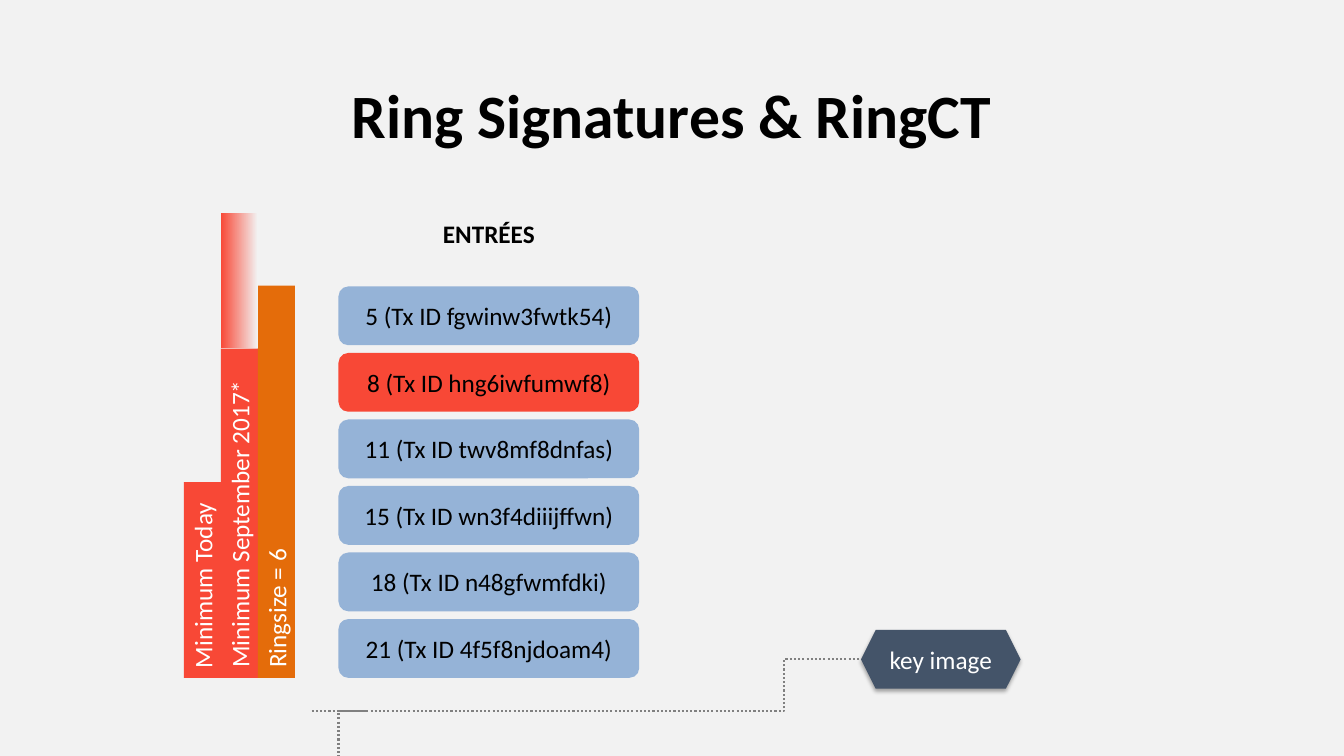
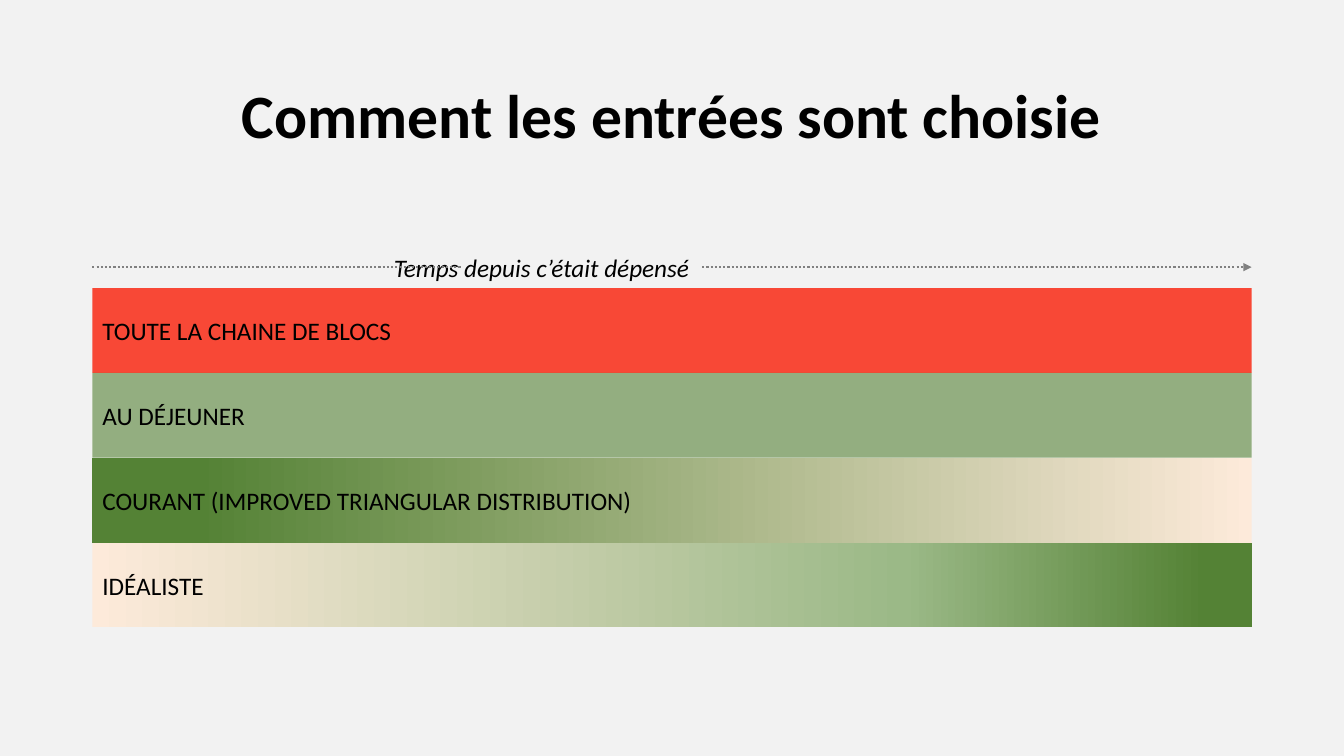
from pptx import Presentation
from pptx.dml.color import RGBColor
from pptx.enum.dml import MSO_LINE
from pptx.enum.shapes import MSO_CONNECTOR as LINK, MSO_SHAPE as SHAPE
from pptx.enum.text import MSO_ANCHOR, PP_ALIGN as ALIGN
from pptx.oxml import parse_xml
from pptx.oxml.ns import nsdecls, qn
from pptx.util import Inches, Pt

PAPER, INK, WHITE = "F2F2F2", "000000", "FFFFFF"
RED, ORANGE, BLUE, SLATE = "F84836", "E46C0A", "95B3D7", "445469"
GREEN, PALE_GREEN, CREAM, GRAY = "548235", "9BB987", "FDEADA", "808080"
FONT = "Calibri"
NS = nsdecls("a")
rgb = RGBColor.from_string

deck = Presentation()
deck.slide_width, deck.slide_height = Inches(13.33), Inches(7.5)
COL, ROW = deck.slide_width / 16, deck.slide_height / 9


def box(slide, text, left, top, width, height, fill=None, kind=SHAPE.RECTANGLE,
        stops=None, angle=0, alpha=100, upright=False, size=18, color=INK,
        bold=False, italic=False, align=ALIGN.LEFT):
    """Place text in grid cells; upright turns the shape to read upwards."""
    x, y, w, h = (round(n) for n in (left * COL, top * ROW, width * COL, height * ROW))
    if upright:
        x, y, w, h = x + (w - h) // 2, y + (h - w) // 2, h, w
    if fill or stops:
        shape = slide.shapes.add_shape(kind, x, y, w, h)
        shape.shadow.inherit = False
        shape.line.fill.background()
    else:
        shape = slide.shapes.add_textbox(x, y, w, h)
    if upright:
        shape.rotation = 270
    if fill:
        shape.fill.solid()
        shape.fill.fore_color.rgb = rgb(fill)
        if alpha < 100:
            tint = shape._element.spPr.find(".//" + qn("a:srgbClr"))
            tint.append(parse_xml(f'<a:alpha {NS} val="{alpha * 1000}"/>'))
    if stops:
        marks = "".join(f'<a:gs pos="{share * 1000}"><a:srgbClr val="{shade}"/></a:gs>'
                        for share, shade in stops)
        shape._element.spPr.find(qn("a:prstGeom")).addnext(parse_xml(
            f'<a:gradFill {NS} rotWithShape="1"><a:gsLst>{marks}</a:gsLst>'
            f'<a:lin ang="{angle * 60000}" scaled="0"/></a:gradFill>'))
    frame = shape.text_frame
    frame.word_wrap = True
    frame.vertical_anchor = MSO_ANCHOR.MIDDLE
    frame.text = text
    paragraph = frame.paragraphs[0]
    paragraph.alignment = align
    font = paragraph.font
    font.name, font.size, font.bold, font.italic = FONT, Pt(size), bold, italic
    font.color.rgb = rgb(color)
    return shape


def dot(path_shape, arrow=False):
    """Give a line the dotted gray look, without shadow."""
    path_shape.line.color.rgb = rgb(GRAY)
    path_shape.line.width = Pt(1.5)
    path_shape.line.dash_style = MSO_LINE.ROUND_DOT
    props = path_shape._element.spPr
    if arrow:
        props.find(qn("a:ln")).append(parse_xml(f'<a:tailEnd {NS} type="triangle"/>'))
    props.append(parse_xml(f"<a:effectLst {NS}/>"))


slides = []
for title in ("Ring Signatures & RingCT", "Comment les entrées sont choisie"):
    slide = deck.slides.add_slide(deck.slide_layouts[6])
    slide.background.fill.solid()
    slide.background.fill.fore_color.rgb = rgb(PAPER)
    box(slide, title, 1.1, 0.48, 13.8, 1.74, size=44, bold=True, align=ALIGN.CENTER)
    slides.append(slide)
ring, selection = slides

# Ring size bars, standing on a common base
BASE, BAR_LEFT, BAR_WIDTH = 8.07, 2.19, 0.44
bars = [("Minimum Today", 2.33, RED), ("Minimum September 2017*", 3.92, RED),
        ("Ringsize = 6", 4.67, ORANGE)]
for i, (label, height, fill) in enumerate(bars):
    box(ring, label, BAR_LEFT + i * BAR_WIDTH, BASE - height, BAR_WIDTH, height,
        fill=fill, upright=True, color=WHITE)
box(ring, "", BAR_LEFT + BAR_WIDTH, 2.54, BAR_WIDTH, 1.6, upright=True,
    stops=[(0, RED), (100, PAPER)], angle=90)

# Inputs, evenly spaced down to the base of the bars
INPUT_LEFT, INPUT_TOP, INPUT_WIDTH, INPUT_HEIGHT = 4.03, 3.41, 3.58, 0.7
box(ring, "ENTRÉES", INPUT_LEFT, 2.54, INPUT_WIDTH, 0.48, bold=True, align=ALIGN.CENTER)
inputs = ["5 (Tx ID fgwinw3fwtk54)", "8 (Tx ID hng6iwfumwf8)", "11 (Tx ID twv8mf8dnfas)",
          "15 (Tx ID wn3f4diiijffwn)", "18 (Tx ID n48gfwmfdki)", "21 (Tx ID 4f5f8njdoam4)"]
SPENT = 1
pitch = (BASE - INPUT_HEIGHT - INPUT_TOP) / (len(inputs) - 1)
for i, label in enumerate(inputs):
    box(ring, label, INPUT_LEFT, INPUT_TOP + i * pitch, INPUT_WIDTH, INPUT_HEIGHT,
        fill=RED if i == SPENT else BLUE, kind=SHAPE.ROUNDED_RECTANGLE, align=ALIGN.CENTER)

# Key image and the dotted route to it
KEY_LEFT, KEY_TOP, ROUTE_Y = 10.25, 7.5, 8.47
route = ring.shapes.add_connector(
    LINK.ELBOW, round(3.71 * COL), round(ROUTE_Y * ROW),
    round(KEY_LEFT * COL), round((KEY_TOP + INPUT_HEIGHT / 2) * ROW))
bend = route._element.spPr.find(qn("a:prstGeom")).get_or_add_avLst()
bend.append(parse_xml(f'<a:gd {NS} name="adj1" fmla="val 86000"/>'))
dot(route)
key_image = box(ring, "key image", KEY_LEFT, KEY_TOP, 1.9, INPUT_HEIGHT, fill=SLATE,
                kind=SHAPE.HEXAGON, color=WHITE, align=ALIGN.CENTER)
key_image._element.spPr.find(qn("a:effectLst")).append(parse_xml(
    f'<a:outerShdw {NS} blurRad="{Pt(3.1)}" dist="{Pt(1.8)}" dir="5400000" rotWithShape="0">'
    f'<a:srgbClr val="{INK}"><a:alpha val="35000"/></a:srgbClr></a:outerShdw>'))
outline = ring.shapes.build_freeform(round(4.36 * COL), round(ROUTE_Y * ROW))
outline.add_line_segments([(round(INPUT_LEFT * COL), round(ROUTE_Y * ROW)),
                           (round(INPUT_LEFT * COL), deck.slide_height)], close=False)
branch = outline.convert_to_shape()
branch.fill.background()
dot(branch)

# Selection methods, one band each
BAND_LEFT, BAND_TOP, BAND_WIDTH, BAND_HEIGHT = 1.1, 3.43, 13.8, 1.01
bands = [
    ("TOUTE LA CHAINE DE BLOCS", dict(fill=RED)),
    ("AU DÉJEUNER", dict(fill=GREEN, alpha=60)),
    ("COURANT (IMPROVED TRIANGULAR DISTRIBUTION)",
     dict(stops=[(0, CREAM), (91, GREEN), (100, GREEN)], angle=180)),
    ("IDÉALISTE",
     dict(stops=[(0, CREAM), (70, PALE_GREEN), (96, GREEN), (100, GREEN)])),
]
for i, (label, look) in enumerate(bands):
    box(selection, label, BAND_LEFT, BAND_TOP + i * BAND_HEIGHT, BAND_WIDTH, BAND_HEIGHT, **look)

# Time axis above the bands
AXIS_Y = 3.18
box(selection, "Temps depuis c’était dépensé", 4.57, 2.94, 4.72, 0.48, italic=True)
for start, end, arrow in ((BAND_LEFT, 5.5, False), (8.36, BAND_LEFT + BAND_WIDTH, True)):
    dot(selection.shapes.add_connector(
        LINK.STRAIGHT, round(start * COL), round(AXIS_Y * ROW),
        round(end * COL), round(AXIS_Y * ROW)), arrow)

deck.save("out.pptx")
